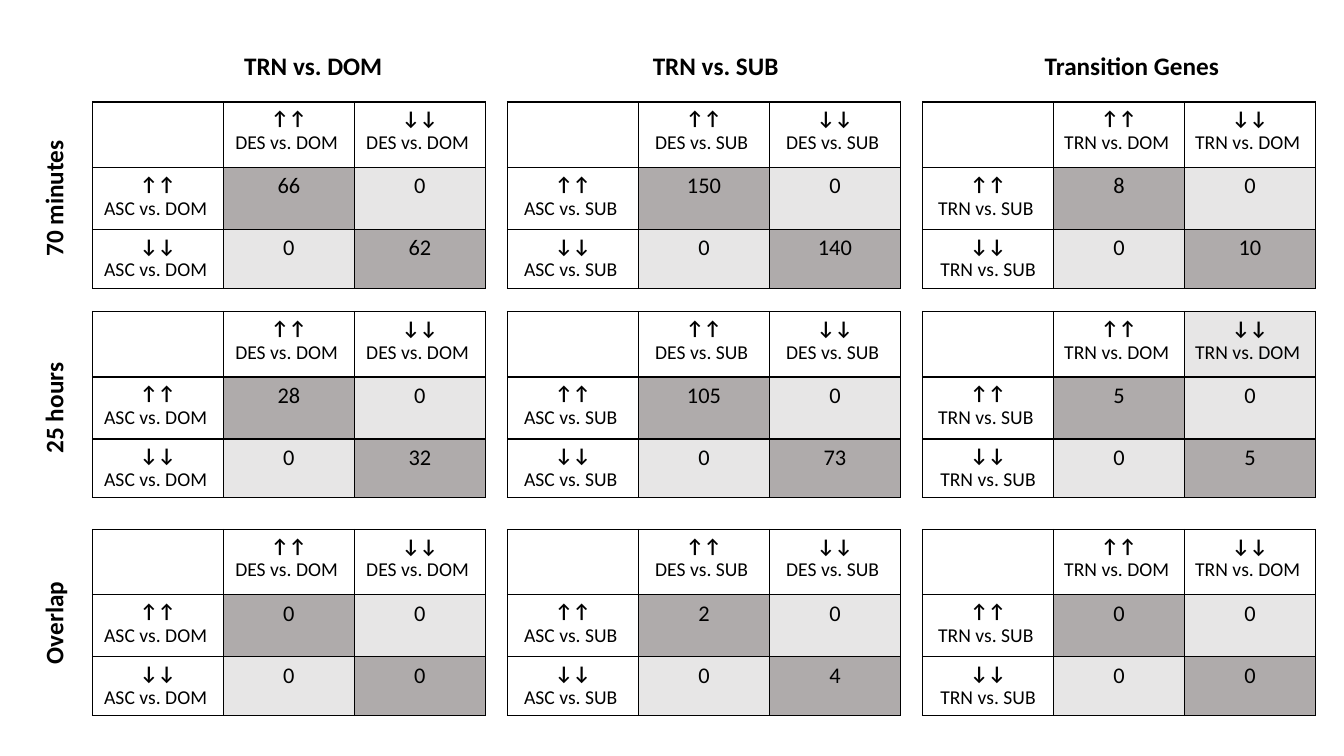
import pptx
import pptx.util
import pptx.dml.color
import pptx.enum.text
import pptx.oxml
import pptx.oxml.ns

Cm = pptx.util.Cm
Pt = pptx.util.Pt
qn = pptx.oxml.ns.qn
NS = "http://schemas.openxmlformats.org/drawingml/2006/main"
WHITE, LIGHT, DARK = "FFFFFF", "E7E6E6", "AFABAB"


def color(code):
    return pptx.dml.color.RGBColor.from_string(code)


def write(frame, text, sizes, bolds):
    frame.text = text
    for para, size, bold in zip(frame.paragraphs, sizes, bolds):
        para.alignment = pptx.enum.text.PP_ALIGN.CENTER
        for run in para.runs:
            run.font.name = "Calibri"
            run.font.size = Pt(size)
            run.font.bold = bold
            run.font.color.rgb = color("000000")


deck = pptx.Presentation()
deck.slide_width, deck.slide_height = Cm(33.87), Cm(19.05)
slide = deck.slides.add_slide(deck.slide_layouts[6])

groups = [
    ("TRN vs. DOM", 4.57, "DES vs. DOM ", ["ASC vs. DOM ", "ASC vs. DOM "]),
    ("TRN vs. SUB", 14.71, "DES vs. SUB ", ["ASC vs. SUB ", "ASC vs. SUB "]),
    ("Transition Genes", 25.2, "TRN vs. DOM ", ["TRN vs. SUB ", "TRN vs. SUB"]),
]
times = [
    ("70 minutes ", 2.57, [(66, 62), (150, 140), (8, 10)]),
    ("25 hours ", 7.85, [(28, 32), (105, 73), (5, 5)]),
    ("Overlap", 13.34, [(0, 0), (2, 4), (0, 0)]),
]
heights = [1.65, 1.56, 1.48]

for time, top, pairs in times:
    for col, (title, left, head, sides) in enumerate(groups):
        graph = slide.shapes.add_table(
            3, 3, Cm(2.33 + 10.46 * col), Cm(top), Cm(9.9), Cm(sum(heights)))
        table = graph.table
        table.first_row = table.horz_banding = False
        for part in table.columns:
            part.width = Cm(3.3)
        for part, height in zip(table.rows, heights):
            part.height = Cm(height)

        up, down = pairs[col]
        grid = [
            ["", "↑↑\n" + head, "↓↓\n" + head],
            ["↑↑\n" + sides[0], str(up), "0"],
            ["↓↓\n" + sides[1], "0", str(down)],
        ]
        for y, line in enumerate(grid):
            for x, text in enumerate(line):
                cell = table.cell(y, x)
                label = x == 0 or y == 0
                write(cell.text_frame, text, [14, 14] if label else [16], [label, False])
                fill = WHITE if label else DARK if x == y else LIGHT
                if (time, col, y, x) == ("25 hours ", 2, 0, 2):
                    fill = LIGHT
                cell.fill.solid()
                cell.fill.fore_color.rgb = color(fill)

        for props in graph.element.iter(qn("a:tcPr")):
            for spot, side in enumerate(["lnL", "lnR", "lnT", "lnB"]):
                props.insert(spot, pptx.oxml.parse_xml(
                    f'<a:{side} xmlns:a="{NS}" w="12700"><a:solidFill>'
                    f'<a:srgbClr val="000000"/></a:solidFill></a:{side}>'))

    box = slide.shapes.add_textbox(Cm(0.84), Cm(top + 0.2), Cm(1.27), Cm(4.32))
    box.text_frame.word_wrap = True
    write(box.text_frame, time, [18], [True])
    box.element.txBody.find(qn("a:bodyPr")).set("vert", "vert270")

for title, left, head, sides in groups:
    box = slide.shapes.add_textbox(Cm(left), Cm(1.14), Cm(6.65), Cm(1.02))
    box.text_frame.word_wrap = True
    write(box.text_frame, title, [18], [True])

deck.save("out.pptx")
